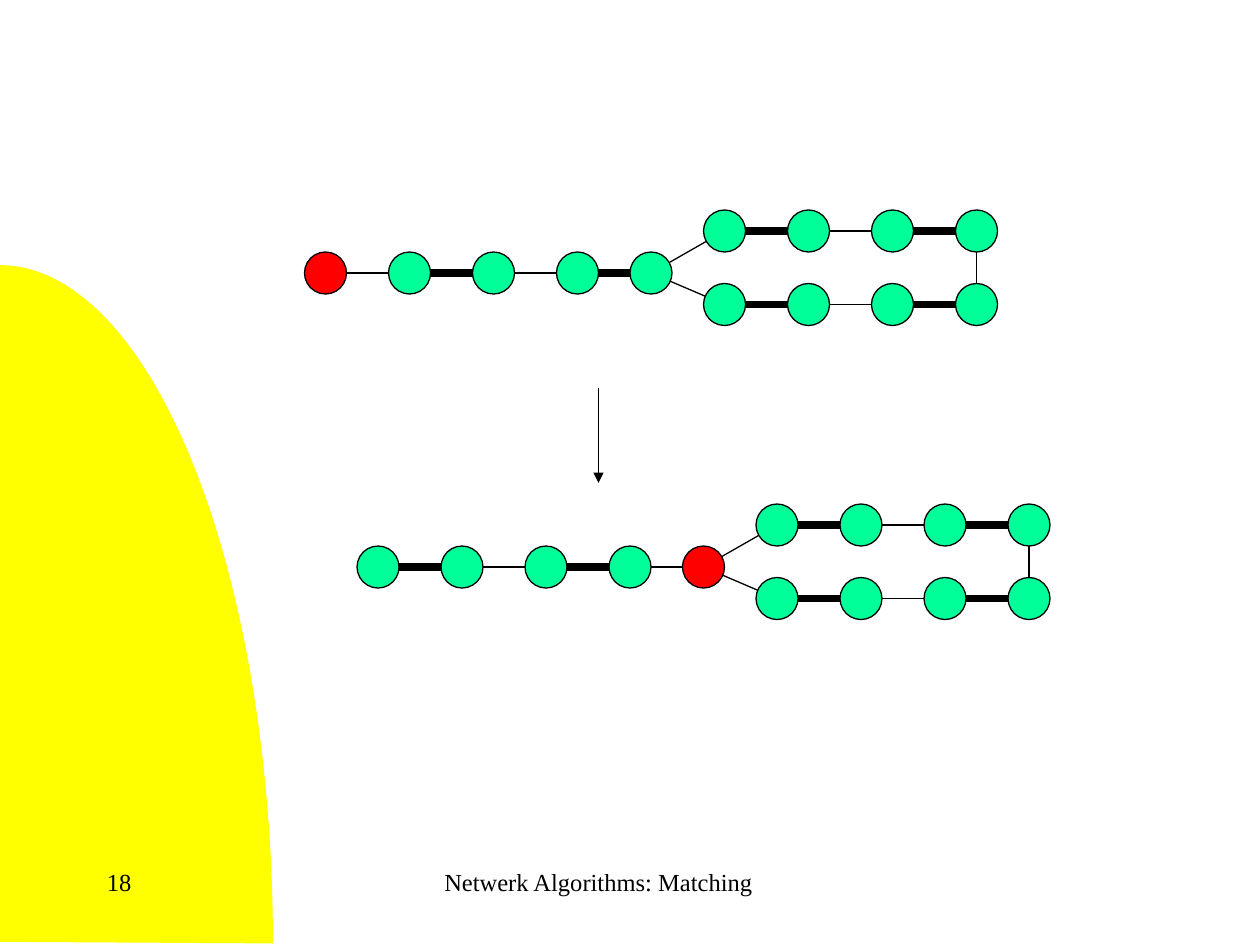
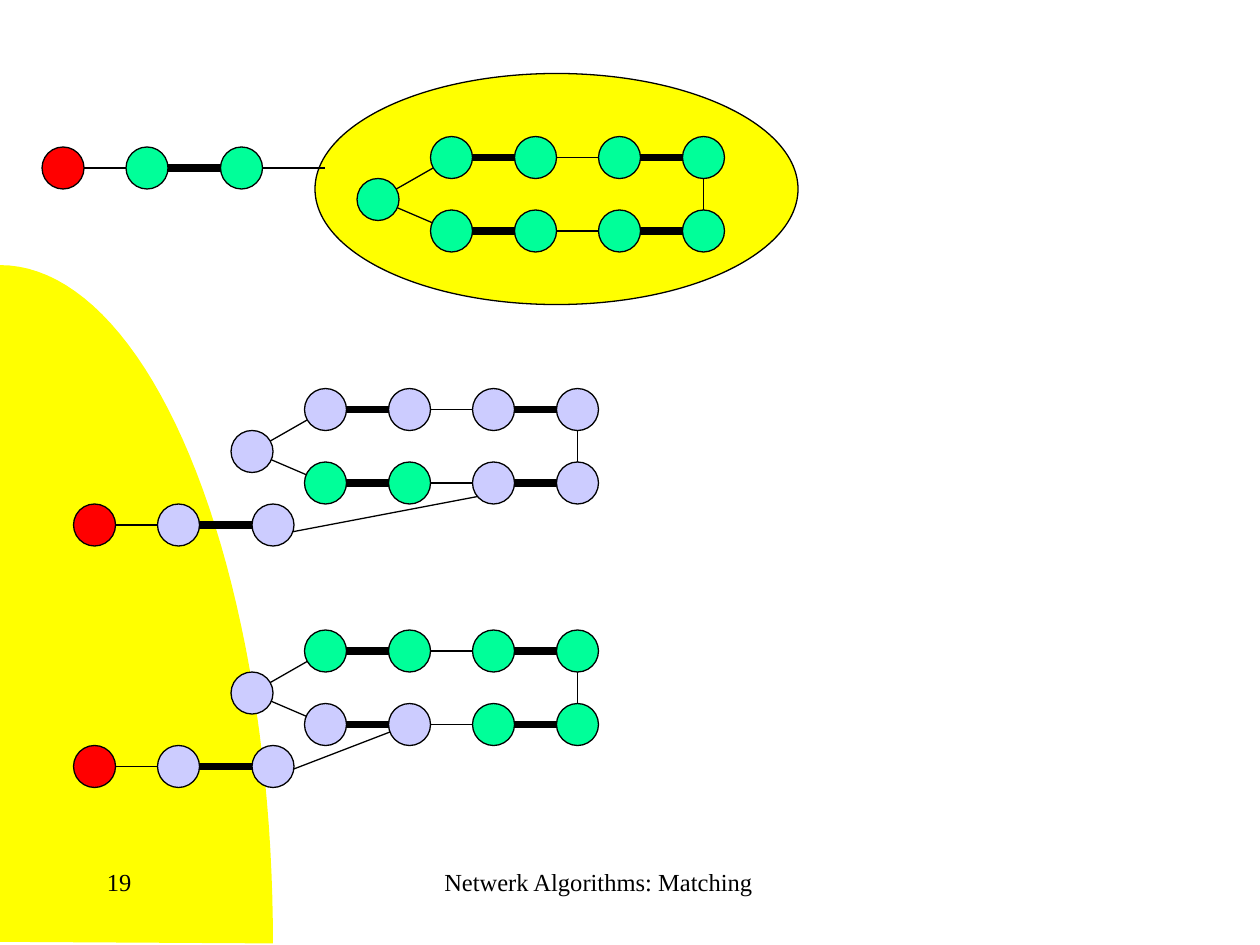
import math
from itertools import pairwise

from lxml import etree
from pptx import Presentation
from pptx import util as u
from pptx.dml.color import RGBColor
from pptx.enum import shapes, text
from pptx.oxml.ns import qn

COLORS = {"line": "000000", "band": "FFFF00", "root": "FF0000",
          "vertex": "00FF99", "augmenting": "CCCCFF"}
NODE_FILLS = {"R": "root", "G": "vertex", "L": "augmenting"}
FONT = "Times New Roman"
COLS, ROWS = 120, 90
CELL = u.Inches(10) // COLS
NODE = 4
THIN, THICK = 0.75, 4.5


def grid(*cells):
    return [round(c * CELL) for c in cells]


def color(name):
    return RGBColor.from_string(COLORS[name])


def add_band(slide):
    rx, ry, bottom = 26, 64.6, 89.85
    angles = [math.radians(90 - a) for a in range(0, 91, 2)]
    arc = [grid(rx * math.cos(a), bottom - ry * math.sin(a)) for a in angles]
    fb = slide.shapes.build_freeform(*arc[0])
    fb.add_line_segments(arc[1:] + [grid(0, 89.7)])
    sp = fb.convert_to_shape()
    sp.shadow.inherit = False
    sp.fill.solid()
    sp.fill.fore_color.rgb = color("band")
    sp.line.fill.background()


def add_oval(slide, box, fill):
    sp = slide.shapes.add_shape(shapes.MSO_SHAPE.OVAL, *grid(*box))
    sp.shadow.inherit = False
    sp.fill.solid()
    sp.fill.fore_color.rgb = color(fill)
    sp.line.color.rgb = color("line")
    sp.line.width = u.Pt(THIN)


def add_edge(slide, start, end, width=THIN, arrow=False):
    cx = slide.shapes.add_connector(shapes.MSO_CONNECTOR.STRAIGHT, *grid(*start, *end))
    cx.line.color.rgb = color("line")
    cx.line.width = u.Pt(width)
    if arrow:
        etree.SubElement(cx.line._get_or_add_ln(), qn("a:tailEnd"), type="triangle")
    etree.SubElement(cx._element.spPr, qn("a:effectLst"))


def add_alternating_path(slide, points, matched_first=False):
    for i, (a, b) in enumerate(pairwise(points)):
        matched = (i % 2 == 1) != matched_first
        add_edge(slide, a, b, THICK if matched else THIN)


def add_nodes(slide, points, codes):
    for (x, y), code in zip(points, codes):
        box = (x - NODE / 2, y - NODE / 2, NODE, NODE)
        add_oval(slide, box, NODE_FILLS[code])


def blossom_points(x, y):
    xs = [x + 7 + 8 * i for i in range(4)]
    return [(x, y)] + [(c, y - 4) for c in xs] + [(c, y + 3) for c in reversed(xs)]


def add_flower(slide, stem, base, stem_codes, blossom_codes, matched_first=False):
    blossom = blossom_points(*base)
    add_alternating_path(slide, stem + [base], matched_first)
    add_alternating_path(slide, blossom + [base])
    add_nodes(slide, stem, stem_codes)
    add_nodes(slide, blossom, blossom_codes)


def add_split_flower(slide, stem, base, link, stem_codes, blossom_codes):
    blossom = blossom_points(*base)
    add_edge(slide, *link)
    add_alternating_path(slide, stem)
    add_alternating_path(slide, blossom + [base])
    add_nodes(slide, blossom, blossom_codes)
    add_nodes(slide, stem, stem_codes)


def add_footer(slide, box, words, align):
    tf = slide.shapes.add_textbox(*grid(*box)).text_frame
    tf.word_wrap = True
    p = tf.paragraphs[0]
    p.alignment = align
    r = p.add_run()
    r.text = words
    r.font.name = FONT
    r.font.size = u.Pt(14)
    r.font.color.rgb = color("line")


def add_footers(slide, number):
    add_footer(slide, (38, 82, 38, 6), "Netwerk Algorithms: Matching", text.PP_ALIGN.CENTER)
    add_footer(slide, (9, 82, 25, 6), str(number), text.PP_ALIGN.LEFT)


def draw_root_shift(slide):
    add_flower(slide, [(31 + 8 * i, 26) for i in range(4)], (62, 26),
               "RGGG", "G" * 9)
    add_edge(slide, (57, 37), (57, 46), arrow=True)
    add_flower(slide, [(36 + 8 * i, 54) for i in range(4)], (67, 54),
               "GGGG", "R" + "G" * 8, matched_first=True)


def draw_blossom_expansion(slide):
    add_oval(slide, (30, 7, 46, 22), "band")
    add_split_flower(slide, [(6, 16), (14, 16), (23, 16)], (36, 19),
                     ((23, 16), (31, 16)), "RGG", "G" * 9)
    cases = [(50, 43, (47, 47), "LLLLLLLGG"), (73, 66, (39, 69), "LGGGGGGLL")]
    for stem_y, base_y, entry, codes in cases:
        stem = [(x, stem_y) for x in (9, 17, 26)]
        add_split_flower(slide, stem, (24, base_y), (entry, (26, stem_y + 1)), "RLL", codes)


def main():
    prs = Presentation()
    prs.slide_width, prs.slide_height = grid(COLS, ROWS)
    for number, draw in enumerate((draw_root_shift, draw_blossom_expansion), 18):
        slide = prs.slides.add_slide(prs.slide_layouts[6])
        add_band(slide)
        draw(slide)
        add_footers(slide, number)
    prs.save("out.pptx")


if __name__ == "__main__":
    main()
